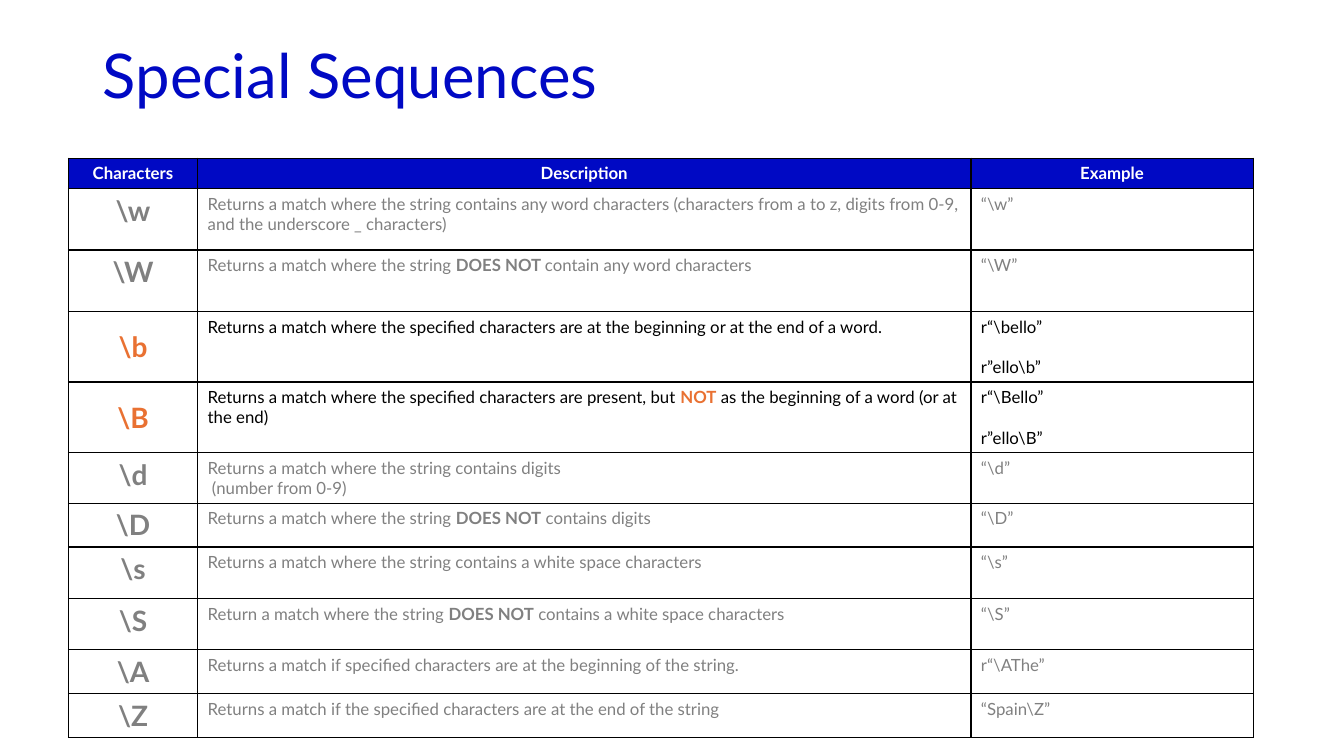
import dataclasses

import pptx
import pptx.dml.color
import pptx.enum.text
import pptx.oxml
import pptx.oxml.ns
import pptx.util

ALIGN = pptx.enum.text.PP_ALIGN
ANCHOR = pptx.enum.text.MSO_ANCHOR


@dataclasses.dataclass(frozen=True)
class Theme:
    font: str = "Lato"
    blue: str = "0009C4"
    white: str = "FFFFFF"
    black: str = "000000"
    gray: str = "808080"
    orange: str = "E97132"
    title_size: float = 44
    symbol_size: float = 20
    body_size: float = 12
    border_width: float = 1


THEME = Theme()
SLIDE_SIZE = (13.33, 7.5)
TITLE_BOX = (0.92, 0.4, 11.5, 1.45)
TABLE_BOX = (0.68, 1.57, 11.75, 5.75)
COLUMN_WIDTHS = (1.28, 7.67, 2.8)
HEADERS = ("Characters", "Description", "Example")
HEADER_HEIGHT = 0.26

# Sequence, description (asterisks mark emphasis), example lines, row height
SEQUENCES = (
    (r"\w", "Returns a match where the string contains any word characters "
     "(characters from a to z, digits from 0-9, and the underscore _ characters)",
     r"“\w”", 0.61),
    (r"\W", "Returns a match where the string *DOES NOT *contain any word characters",
     r"“\W”", 0.61),
    (r"\b", "Returns a match where the specified characters are at the beginning "
     "or at the end of a word.", "r“\\bello”\nr”ello\\b”", 0.61),
    (r"\B", "Returns a match where the specified characters are present, but *NOT* "
     "as the beginning of a word (or at the end)", "r“\\Bello”\nr”ello\\B”", 0.61),
    (r"\d", "Returns a match where the string contains digits\n (number from 0-9)",
     r"“\d”", 0.44),
    (r"\D", "Returns a match where the string *DOES NOT* contains digits", r"“\D”", 0.38),
    (r"\s", "Returns a match where the string contains a white space characters",
     r"“\s”", 0.51),
    (r"\S", "Return a match where the string *DOES NOT* contains a white space characters",
     r"“\S”", 0.51),
    (r"\A", "Returns a match if specified characters are at the beginning of the string.",
     r"r“\AThe”", 0.38),
    (r"\Z", "Returns a match if the specified characters are at the end of the string",
     r"“Spain\Z”", 0.38),
)
HIGHLIGHTED = (r"\b", r"\B")
MIDDLE_ANCHORED = (r"\b", r"\B", r"\A")


def write_text(frame, text, size=THEME.body_size, color=THEME.black, bold=False,
               emphasis_color=None, align=ALIGN.LEFT, line_spacing=None, gap=0):
    """Write one paragraph per line; parts between asterisks are emphasised."""
    for index, line in enumerate(text.split("\n")):
        paragraph = frame.add_paragraph() if index else frame.paragraphs[0]
        paragraph.alignment = align
        if line_spacing:
            paragraph.line_spacing = line_spacing
        if index and gap:
            paragraph.space_before = pptx.util.Pt(gap)
        for part, words in enumerate(line.split("*")):
            emphasised = part % 2 == 1
            run = paragraph.add_run()
            run.text = words
            run.font.name = THEME.font
            run.font.size = pptx.util.Pt(size)
            run.font.bold = bold or emphasised
            run_color = emphasis_color if emphasised and emphasis_color else color
            run.font.color.rgb = pptx.dml.color.RGBColor.from_string(run_color)


def format_cell(cell, fill=None):
    """Draw the four borders, then set the fill."""
    properties = cell._tc.get_or_add_tcPr()
    width = pptx.util.Pt(THEME.border_width)
    for side in "LRTB":
        properties.append(pptx.oxml.parse_xml(
            f'<a:ln{side} {pptx.oxml.ns.nsdecls("a")} w="{width}"><a:solidFill>'
            f'<a:srgbClr val="{THEME.black}"/></a:solidFill></a:ln{side}>'))
    if fill:
        cell.fill.solid()
        cell.fill.fore_color.rgb = pptx.dml.color.RGBColor.from_string(fill)
    else:
        cell.fill.background()


def add_title(slide, text):
    title = slide.shapes.title
    title.left, title.top, title.width, title.height = map(pptx.util.Inches, TITLE_BOX)
    frame = title.text_frame
    frame.auto_size = pptx.enum.text.MSO_AUTO_SIZE.NONE
    frame.vertical_anchor = ANCHOR.TOP
    write_text(frame, text, size=THEME.title_size, color=THEME.blue, line_spacing=0.9)


def fill_sequence_row(cells, symbol, description, example):
    highlighted = symbol in HIGHLIGHTED
    color = THEME.black if highlighted else THEME.gray
    accent = THEME.orange if highlighted else THEME.gray
    symbol_cell, description_cell, example_cell = cells
    if symbol in MIDDLE_ANCHORED:
        symbol_cell.vertical_anchor = ANCHOR.MIDDLE
    write_text(symbol_cell.text_frame, symbol, size=THEME.symbol_size,
               color=accent, bold=True, align=ALIGN.CENTER)
    write_text(description_cell.text_frame, description, color=color,
               emphasis_color=accent)
    write_text(example_cell.text_frame, example, color=color,
               gap=1.2 * THEME.body_size)


def add_sequence_table(slide):
    graphic_frame = slide.shapes.add_table(
        len(SEQUENCES) + 1, len(HEADERS), *map(pptx.util.Inches, TABLE_BOX))
    table = graphic_frame.table
    table.first_row = table.horz_banding = False
    for column, width in zip(table.columns, COLUMN_WIDTHS):
        column.width = pptx.util.Inches(width)
    heights = [HEADER_HEIGHT] + [sequence[-1] for sequence in SEQUENCES]
    for row, height in zip(table.rows, heights):
        row.height = pptx.util.Inches(height)

    # Header row
    for cell, header in zip(table.rows[0].cells, HEADERS):
        format_cell(cell, fill=THEME.blue)
        write_text(cell.text_frame, header, color=THEME.white, bold=True,
                   align=ALIGN.CENTER)

    # One row per special sequence
    for index, (symbol, description, example, _) in enumerate(SEQUENCES, start=1):
        cells = list(table.rows[index].cells)
        for cell in cells:
            format_cell(cell)
        fill_sequence_row(cells, symbol, description, example)


def main():
    presentation = pptx.Presentation()
    presentation.slide_width, presentation.slide_height = map(pptx.util.Inches, SLIDE_SIZE)
    slide = presentation.slides.add_slide(presentation.slide_layouts[5])
    add_title(slide, "Special Sequences")
    add_sequence_table(slide)
    presentation.save("out.pptx")


if __name__ == "__main__":
    main()
